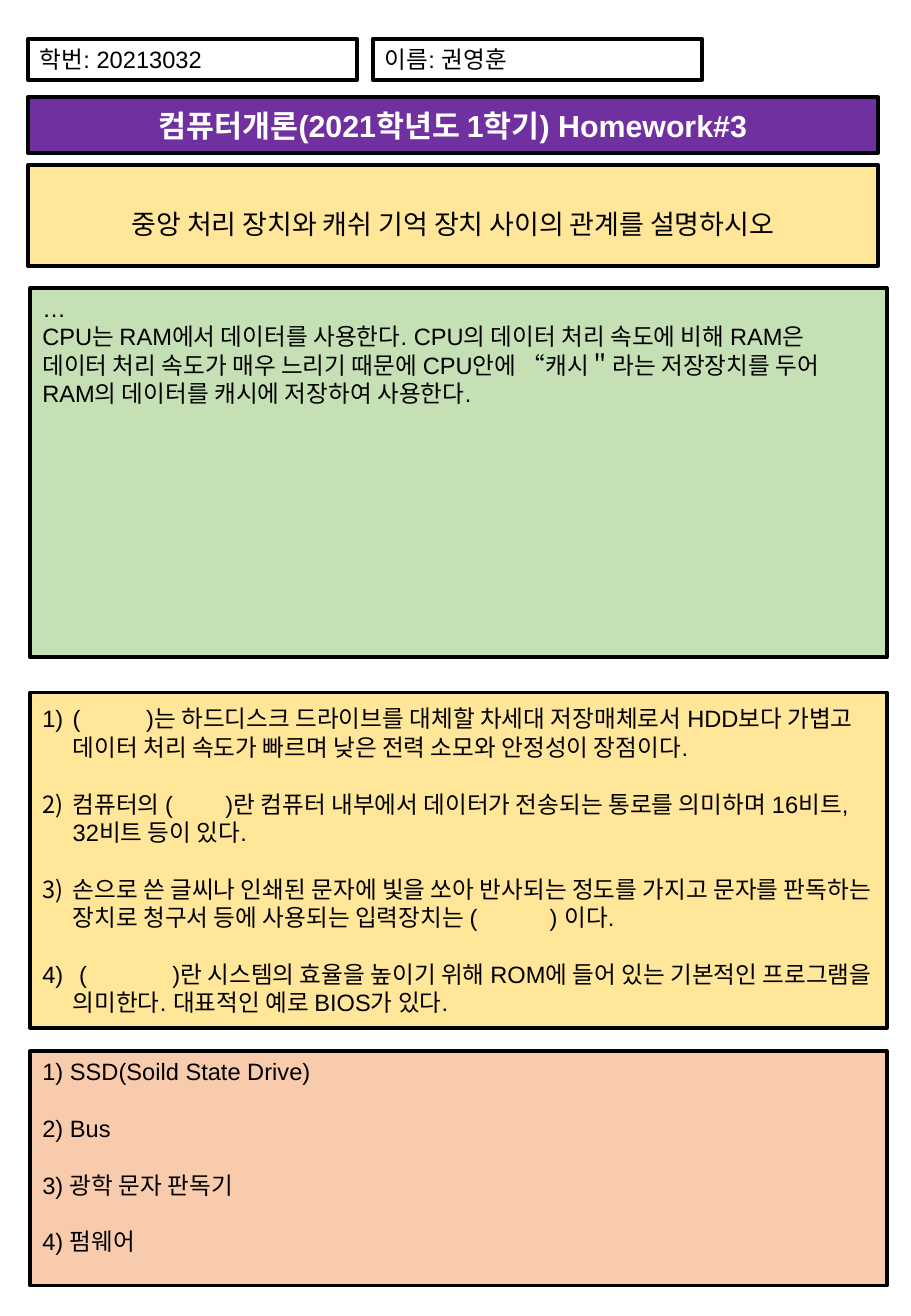
from lxml.etree import SubElement
from pptx import Presentation
from pptx.dml.color import RGBColor
from pptx.enum.shapes import MSO_SHAPE
from pptx.enum.text import MSO_ANCHOR, PP_ALIGN
from pptx.oxml.ns import qn
from pptx.util import Inches, Pt

BLACK = RGBColor(0x00, 0x00, 0x00)
WHITE = RGBColor(0xFF, 0xFF, 0xFF)
PURPLE = RGBColor(0x70, 0x30, 0xA0)
YELLOW = RGBColor(0xFF, 0xE6, 0x99)
GREEN = RGBColor(0xC5, 0xE0, 0xB4)
ORANGE = RGBColor(0xF8, 0xCB, 0xAD)

STUDENT = ["학번: 20213032", "이름: 권영훈"]
TITLE = ["컴퓨터개론(2021학년도 1학기) Homework#3"]
TOPIC = ["중앙 처리 장치와 캐쉬 기억 장치 사이의 관계를 설명하시오"]
ESSAY = [
    "…",
    "CPU는 RAM에서 데이터를 사용한다. CPU의 데이터 처리 속도에 비해 RAM은 데이터 처리 속도가 매우 느리기 때문에 "
    "CPU안에 “캐시＂라는 저장장치를 두어 RAM의 데이터를 캐시에 저장하여 사용한다.",
]
QUESTIONS = [
    "(          )는 하드디스크 드라이브를 대체할 차세대 저장매체로서 HDD보다 가볍고 데이터 처리 속도가 빠르며 "
    "낮은 전력 소모와 안정성이 장점이다. ",
    "컴퓨터의 (        )란 컴퓨터 내부에서 데이터가 전송되는 통로를 의미하며 16비트, 32비트 등이 있다.",
    "손으로 쓴 글씨나 인쇄된 문자에 빛을 쏘아 반사되는 정도를 가지고 문자를 판독하는 장치로 청구서 등에 "
    "사용되는 입력장치는 (           ) 이다.",
    " (             )란 시스템의 효율을 높이기 위해 ROM에 들어 있는 기본적인 프로그램을 의미한다. "
    "대표적인 예로 BIOS가 있다.",
]
ANSWERS = ["1) SSD(Soild State Drive)", "2) Bus", "3) 광학 문자 판독기", "4) 펌웨어"]

HEAD_LEFT, HEAD_WIDTH = 0.23, 7
BODY_LEFT, BODY_WIDTH = 0.25, 7.05
STUDENT_WIDTH, STUDENT_STEP = 2.71, 2.84
ITEM_GAP = 16.8


def number_paragraph(para):
    properties = para._p.get_or_add_pPr()
    properties.set("marL", str(Inches(0.25)))
    properties.set("indent", str(Inches(-0.25)))
    SubElement(properties, qn("a:buFont"), typeface="+mj-lt")
    SubElement(properties, qn("a:buAutoNum"), type="arabicParenR")


def add_panel(page, left, top, width, height, lines, fill=None, color=BLACK, size=14,
              bold=False, align=PP_ALIGN.LEFT, anchor=MSO_ANCHOR.TOP,
              line_spacing=1.0, gap=0, numbered=False):
    box = page.shapes.add_shape(MSO_SHAPE.RECTANGLE, Inches(left), Inches(top),
                                Inches(width), Inches(height))
    box.shadow.inherit = False
    if fill is None:
        box.fill.background()
    else:
        box.fill.solid()
        box.fill.fore_color.rgb = fill
    box.line.color.rgb = BLACK
    box.line.width = Pt(2.25)
    frame = box.text_frame
    frame.word_wrap = True
    frame.vertical_anchor = anchor
    for index, line in enumerate(lines):
        para = frame.add_paragraph() if index else frame.paragraphs[0]
        para.text = line
        if numbered:
            number_paragraph(para)
        para.alignment = align
        para.line_spacing = line_spacing
        para.space_before = Pt(gap if index else 0)
        para.font.name = "Arial"
        para.font.size = Pt(size)
        para.font.bold = bold
        para.font.color.rgb = color


def main():
    deck = Presentation()
    deck.slide_width, deck.slide_height = Inches(7.5), Inches(10.83)
    page = deck.slides.add_slide(deck.slide_layouts[6])

    for index, label in enumerate(STUDENT):
        add_panel(page, HEAD_LEFT + index * STUDENT_STEP, 0.32, STUDENT_WIDTH, 0.34, [label])
    add_panel(page, HEAD_LEFT, 0.8, HEAD_WIDTH, 0.46, TITLE, PURPLE, WHITE, 18, True,
              PP_ALIGN.CENTER, MSO_ANCHOR.MIDDLE)
    add_panel(page, HEAD_LEFT, 1.36, HEAD_WIDTH, 0.83, TOPIC, YELLOW, size=16,
              align=PP_ALIGN.CENTER, anchor=MSO_ANCHOR.MIDDLE, line_spacing=1.5)
    add_panel(page, BODY_LEFT, 2.37, BODY_WIDTH, 3.04, ESSAY, GREEN)
    add_panel(page, BODY_LEFT, 5.7, BODY_WIDTH, 2.76, QUESTIONS, YELLOW,
              anchor=MSO_ANCHOR.MIDDLE, gap=ITEM_GAP, numbered=True)
    add_panel(page, BODY_LEFT, 8.65, BODY_WIDTH, 1.93, ANSWERS, ORANGE, gap=ITEM_GAP)

    deck.save("out.pptx")


if __name__ == "__main__":
    main()
